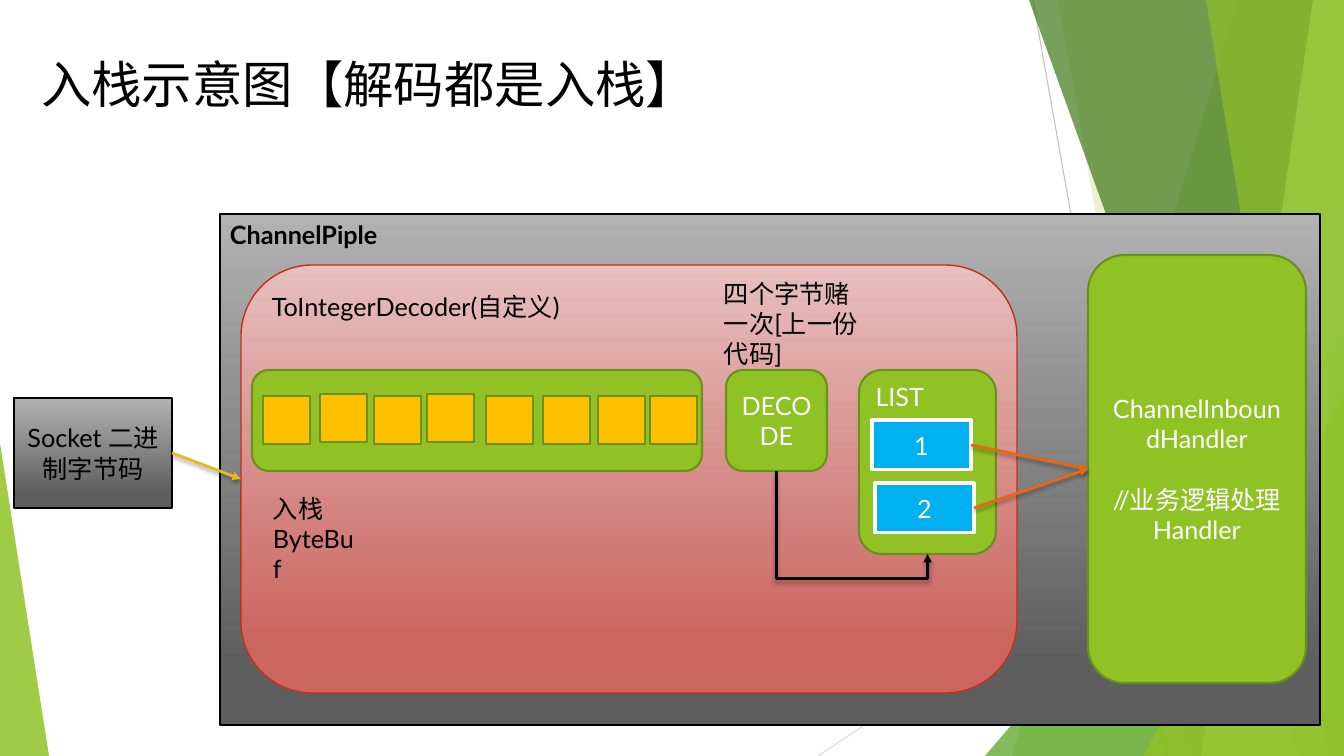
"""Builds the slide on how inbound bytes are decoded in a channel pipeline."""
import dataclasses

import lxml.etree
import pptx
import pptx.dml.color
import pptx.enum.shapes
import pptx.enum.text
import pptx.oxml.ns
import pptx.util

SHAPE = pptx.enum.shapes.MSO_SHAPE
CONNECTOR = pptx.enum.shapes.MSO_CONNECTOR
ALIGN = pptx.enum.text.PP_ALIGN
ANCHOR = pptx.enum.text.MSO_ANCHOR
qn = pptx.oxml.ns.qn
TOP, LEFT, BOTTOM, RIGHT = range(4)


@dataclasses.dataclass(frozen=True)
class Theme:
    font: str = "Lato"
    title_size: int = 36
    body_size: int = 18
    black: str = "000000"
    white: str = "FFFFFF"
    green: str = "90C226"
    green_edge: str = "6B901C"
    leaf: str = "54A021"
    forest: str = "3F7819"
    lime: str = "C0E474"
    grey: tuple = ("B2B2B2", "5E5E5E")
    red: tuple = ("E6BFBE", "CB6560")
    red_edge: str = "C42F1A"
    byte: str = "FFC000"
    item: str = "00B0F0"
    orange: str = "E76618"
    gold: str = "E6B91E"
    ray: str = "BFBFBF"
    pale_ray: str = "D9D9D9"


def px(length):
    return pptx.util.Emu(round(length * 914400 / 100.8))


def rgb(code):
    return pptx.dml.color.RGBColor.from_string(code)


def add_xml(parent, tag, **attributes):
    return lxml.etree.SubElement(parent, qn(tag), attributes)


def write(frame, text, *, font, size, color, bold=False, align=ALIGN.LEFT,
          anchor=ANCHOR.TOP, gap=0):
    frame.word_wrap = True
    frame.auto_size = pptx.enum.text.MSO_AUTO_SIZE.NONE
    frame.vertical_anchor = anchor
    for index, line in enumerate(text.split("\n")):
        paragraph = frame.add_paragraph() if index else frame.paragraphs[0]
        paragraph.alignment = align
        if index:
            paragraph.space_before = pptx.util.Pt(gap)
        run = paragraph.add_run()
        run.text = line
        run.font.name = font
        run.font.size = pptx.util.Pt(size)
        run.font.bold = bold
        run.font.color.rgb = rgb(color)


class PipelineSlide:
    def __init__(self, theme):
        self.theme = theme
        self.deck = pptx.Presentation()
        self.deck.slide_width, self.deck.slide_height = px(1344), px(756)
        self.slide = self.deck.slides.add_slide(self.deck.slide_layouts[5])
        self.shapes = self.slide.shapes

    def place_text(self, frame, text, **style):
        defaults = dict(font=self.theme.font, size=self.theme.body_size, color=self.theme.black)
        write(frame, text, **{**defaults, **style})

    def title(self, text, x, y, width, height):
        heading = self.shapes.title
        heading.left, heading.top, heading.width, heading.height = map(px, (x, y, width, height))
        self.place_text(heading.text_frame, text, size=self.theme.title_size)

    def label(self, text, x, y, width, height):
        note = self.shapes.add_textbox(*map(px, (x, y, width, height)))
        self.place_text(note.text_frame, text)

    def box(self, kind, x, y, width, height, fill, edge, weight, text="", **style):
        block = self.shapes.add_shape(kind, *map(px, (x, y, width, height)))
        block.shadow.inherit = False
        if isinstance(fill, tuple):
            block.fill.gradient()
            block.fill.gradient_angle = 270
            for stop, position, color in zip(block.fill.gradient_stops, (0, 0.88), fill):
                stop.position = position
                stop.color.rgb = rgb(color)
        else:
            block.fill.solid()
            block.fill.fore_color.rgb = rgb(fill)
        block.line.color.rgb = rgb(edge)
        block.line.width = pptx.util.Pt(weight)
        if text:
            self.place_text(block.text_frame, text, **style)
        return block

    def tint(self, facet, color, opacity):
        facet.shadow.inherit = False
        facet.fill.solid()
        facet.fill.fore_color.rgb = rgb(color)
        facet.line.fill.background()
        swatch = facet._element.spPr.find(qn("a:solidFill"))[0]
        add_xml(swatch, "a:alpha", val=str(opacity * 1000))

    def band(self, top_x, bottom_x, color, opacity):
        outline = self.shapes.build_freeform(px(top_x), 0)
        corners = ((1344, 0), (1344, 756), (bottom_x, 756))
        outline.add_line_segments([(px(x), px(y)) for x, y in corners], close=True)
        self.tint(outline.convert_to_shape(), color, opacity)

    def wedge(self, x, y, width, apex, color, opacity):
        wedge = self.shapes.add_shape(
            SHAPE.ISOSCELES_TRIANGLE, *map(px, (x, y, width, 756 - y)))
        wedge.adjustments[0] = apex
        self.tint(wedge, color, opacity)

    def stroke(self, line, color, weight):
        line.line.color.rgb = rgb(color)
        line.line.width = pptx.util.Pt(weight)
        return add_xml(line._element.spPr, "a:effectLst")

    def ray(self, x1, y1, x2, y2, color):
        line = self.shapes.add_connector(CONNECTOR.STRAIGHT, *map(px, (x1, y1, x2, y2)))
        self.stroke(line, color, 0.75)

    def arrow(self, source, target, color, kind=CONNECTOR.STRAIGHT, sites=(RIGHT, LEFT)):
        line = self.shapes.add_connector(kind, 0, 0, 0, 0)
        line.begin_connect(source, sites[0])
        line.end_connect(target, sites[1])
        effects = self.stroke(line, color, 2)
        add_xml(line.line._get_or_add_ln(), "a:tailEnd", type="triangle")
        shadow = add_xml(effects, "a:outerShdw", blurRad="38100", dist="25400",
                         dir="5400000", rotWithShape="0")
        add_xml(add_xml(shadow, "a:srgbClr", val=self.theme.black), "a:alpha", val="35000")
        return line

    def loop_below(self, source, target, color):
        line = self.arrow(source, target, color, CONNECTOR.ELBOW, (BOTTOM, BOTTOM))
        span, drop = line.width, line.height
        line.left += (span - drop) // 2
        line.top += (drop - span) // 2
        line.width, line.height = drop, span
        frame = line._element.spPr.find(qn("a:xfrm"))
        frame.set("rot", "16200000")
        frame.set("flipH", "1")
        geometry = line._element.spPr.find(qn("a:prstGeom"))
        add_xml(geometry.find(qn("a:avLst")), "a:gd", name="adj1", fmla="val 129900")


def draw_backdrop(page):
    theme = page.theme
    page.ray(1033, 0, 1167, 756, theme.ray)
    page.ray(1344, 406, 818, 756, theme.pale_ray)
    page.band(1238, 1012, theme.green, 30)
    page.band(1058, 1192, theme.green, 20)
    page.wedge(985, 336, 359, 1, theme.leaf, 72)
    page.band(1029, 1301, theme.forest, 70)
    page.band(1313, 1201, theme.lime, 70)
    page.band(1206, 1329, theme.green, 65)
    page.wedge(1143, 396, 201, 1, theme.green, 80)
    page.wedge(0, 443, 49, 0, theme.green, 85)


def draw_pipeline(page):
    theme = page.theme
    centred = dict(align=ALIGN.CENTER, anchor=ANCHOR.MIDDLE)
    on_green = dict(fill=theme.green, edge=theme.green_edge, weight=1.5, color=theme.white)
    rect, rounded = SHAPE.RECTANGLE, SHAPE.ROUNDED_RECTANGLE

    socket = page.box(rect, 14, 398, 158, 110, theme.grey, theme.black, 1,
                      "Socket 二进制字节码", **centred)
    page.box(rect, 220, 214, 1100, 511, theme.grey, theme.black, 1, "ChannelPiple", bold=True)
    decoder = page.box(rounded, 241, 265, 776, 428, theme.red, theme.red_edge, 1,
                       "ToIntegerDecoder(自定义)")
    page.box(rounded, 252, 370, 450, 101, **on_green)
    page.label("入栈ByteBuf", 263, 488, 105, 40)
    byte_tops = {320: 394, 427: 394}
    for x in (263, 320, 374, 427, 486, 543, 598, 650):
        page.box(rect, x, byte_tops.get(x, 396), 47, 48, theme.byte, theme.green_edge, 1.5)

    decode = page.box(rounded, 726, 370, 101, 101, text="DECODE", **on_green, **centred)
    results = page.box(rounded, 859, 370, 137, 184, text="LIST", **on_green)
    items = [page.box(rect, x, y, 99, 50, theme.item, theme.white, 2.25, number,
                      color=theme.white, **centred)
             for number, x, y in (("1", 872, 420), ("2", 875, 483))]
    page.loop_below(decode, results, theme.black)
    handler = page.box(rounded, 1088, 255, 218, 428, gap=22,
                       text="ChannelInboundHandler\n//业务逻辑处理Handler", **on_green, **centred)
    for item in items:
        page.arrow(item, handler, theme.orange)
    page.arrow(socket, decoder, theme.gold)
    page.label("四个字节赌一次[上一份代码]", 714, 273, 165, 102)


def main():
    page = PipelineSlide(Theme())
    draw_backdrop(page)
    page.title("入栈示意图【解码都是入栈】", 31, 48, 682, 72)
    draw_pipeline(page)
    page.deck.save("out.pptx")


if __name__ == "__main__":
    main()
